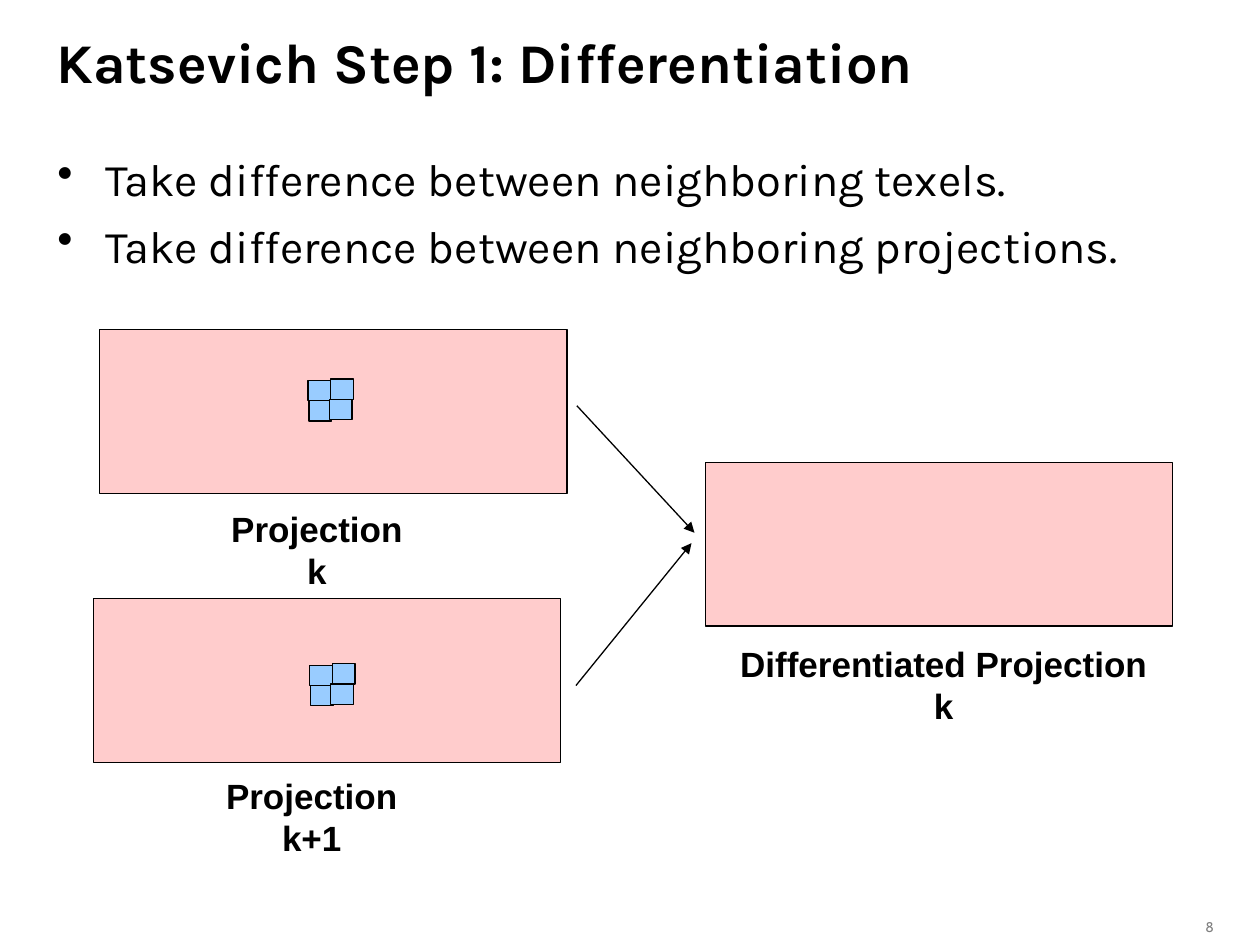
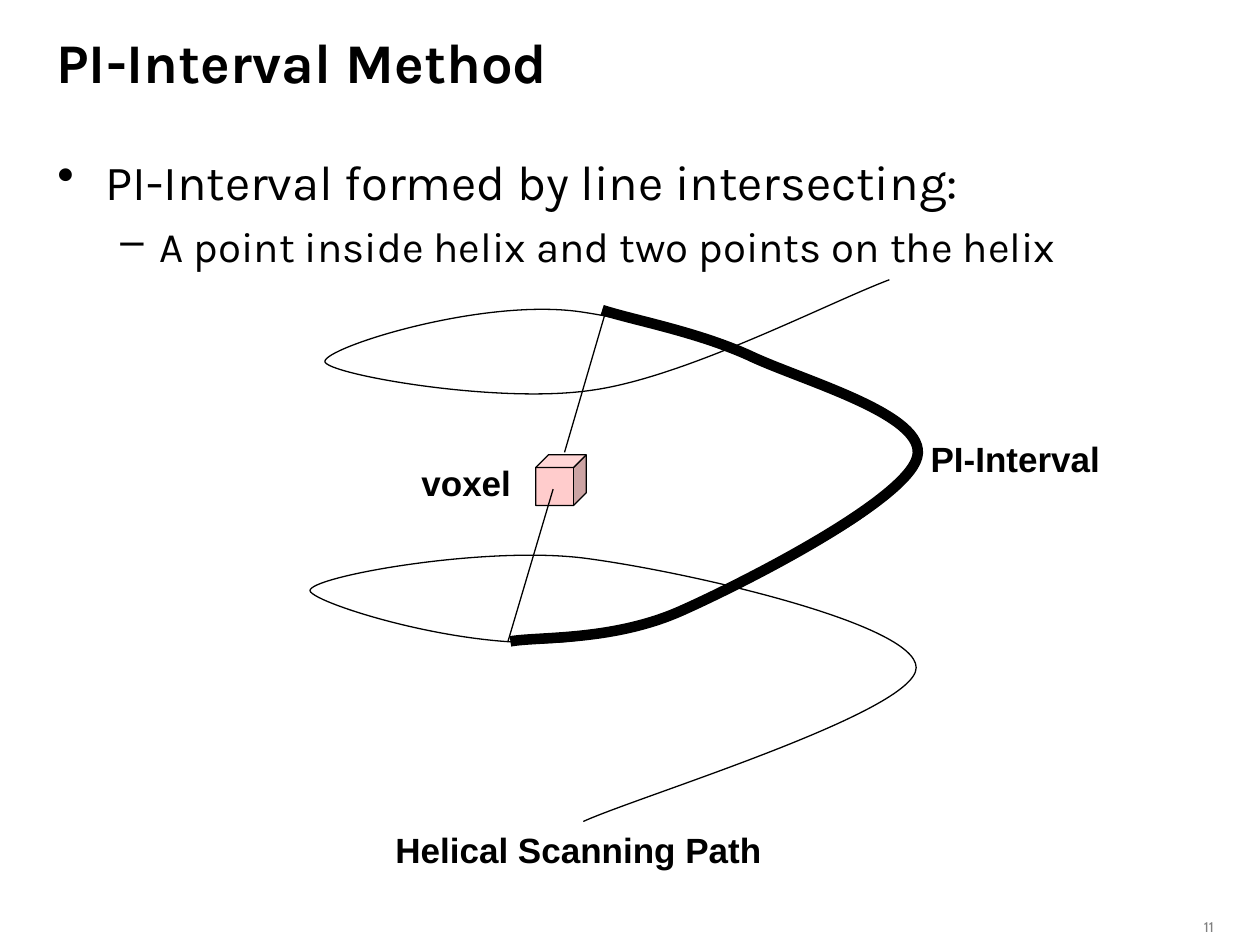
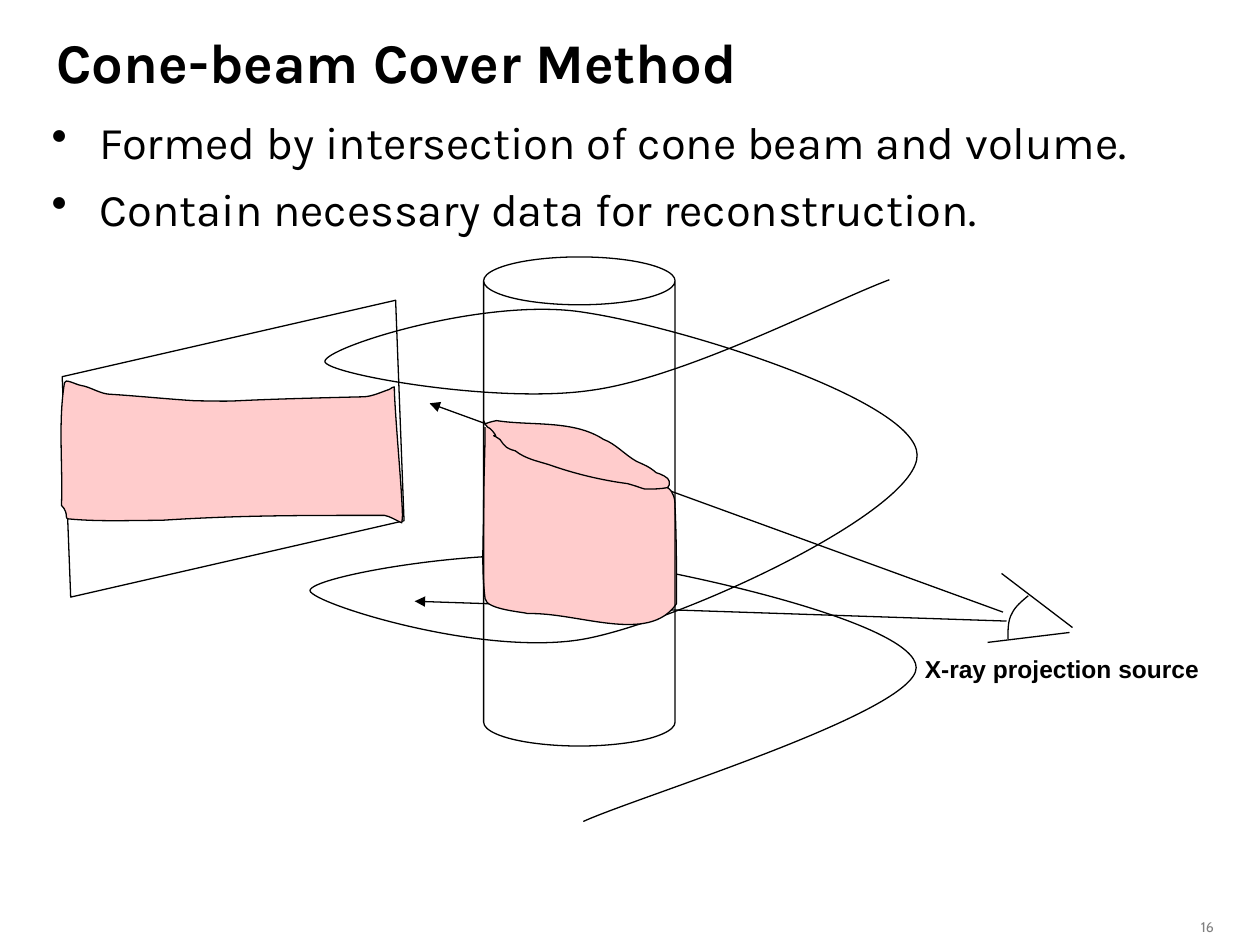
from lxml.etree import SubElement
from pptx import Presentation
from pptx.dml.color import RGBColor
from pptx.enum.shapes import MSO_CONNECTOR, MSO_SHAPE
from pptx.enum.text import MSO_ANCHOR, MSO_AUTO_SIZE, PP_ALIGN
from pptx.oxml.ns import qn
from pptx.util import Cm, Pt

BLACK, GRAY, PINK, BLUE = "000000", "808080", "FFCCCC", "99CCFF"

# Curves in cm: a start point, then rows of two control points and an end point
HELIX = [
    (11.76, 16.56),
    (12.88, 16.05), (18.47, 14.35), (18.47, 13.46),
    (18.47, 12.57), (13.79, 11.51), (11.76, 11.25),
    (9.73, 11), (6.22, 11.63), (6.25, 11.91),
    (6.3, 12.17), (9.91, 13.31), (11.94, 12.85),
    (14, 12.4), (18.52, 10.26), (18.49, 9.17),
    (18.47, 8.08), (13.79, 6.6), (11.79, 6.3),
    (9.8, 5.97), (6.53, 7.01), (6.55, 7.29),
    (6.58, 7.54), (10, 8.15), (11.91, 7.87),
    (13.79, 7.62), (16.66, 6.12), (17.93, 5.64),
]
PI_INTERVAL = [
    (10.29, 12.93),
    (10.85, 12.83), (12.34, 12.93), (13.72, 12.32),
    (15.09, 11.71), (18.26, 10.08), (18.49, 9.22),
    (18.72, 8.36), (16.15, 7.67), (15.09, 7.16),
    (14.02, 6.68), (12.75, 6.45), (12.14, 6.25),
]
SOURCE_ARC = [
    (20.73, 12.01),
    (20.6, 12.12), (20.47, 12.22), (20.4, 12.37),
    (20.32, 12.5), (20.32, 12.7), (20.32, 12.88),
]
COVER_SIDE = [
    (9.78, 8.61),
    (9.78, 9.14), (9.75, 9.68), (9.75, 10.21),
    (9.75, 10.82), (9.7, 11.46), (9.78, 12.07),
    (9.8, 12.29), (10.57, 12.34), (10.64, 12.37),
    (11.66, 12.34), (13.08, 13), (13.64, 12.17),
    (13.64, 11.53), (13.64, 10.87), (13.61, 10.24),
    (13.61, 10.06), (13.59, 9.93), (13.46, 9.83),
]
COVER_TOP = [
    (9.75, 8.48),
    (9.78, 8.53), (9.78, 8.59), (9.83, 8.61),
    (9.86, 8.64), (9.91, 8.64), (9.93, 8.69),
    (10.13, 8.94), (9.78, 8.66), (10.08, 8.86),
    (10.19, 9.02), (10.21, 9.04), (10.39, 9.09),
    (10.59, 9.25), (10.85, 9.3), (11.07, 9.37),
    (11.58, 9.55), (12.12, 9.68), (12.65, 9.75),
    (12.93, 9.83), (12.8, 9.8), (13, 9.86),
    (13.16, 9.86), (13.31, 9.86), (13.46, 9.83),
    (13.49, 9.8), (13.51, 9.75), (13.49, 9.7),
    (13.49, 9.63), (13.31, 9.55), (13.23, 9.53),
    (13.08, 9.4), (12.98, 9.37), (12.83, 9.3),
    (12.6, 9.17), (12.4, 8.94), (12.17, 8.86),
    (11.56, 8.46), (10.72, 8.59), (10.01, 8.48),
    (9.73, 8.53), (9.75, 8.61), (9.75, 8.48),
]
PROJECTED_COVER = [
    (8.1, 10.54),
    (7.98, 10.49), (7.87, 10.41), (7.75, 10.39),
    (5.97, 10.39), (4.8, 10.39), (3.25, 10.49),
    (2.62, 10.49), (1.98, 10.52), (1.37, 10.46),
    (1.32, 10.46), (1.35, 10.36), (1.32, 10.31),
    (1.32, 10.26), (1.27, 10.24), (1.24, 10.19),
    (1.27, 9.37), (1.17, 8.53), (1.3, 7.72),
    (1.3, 7.62), (1.52, 7.75), (1.63, 7.77),
    (1.83, 7.8), (2.03, 7.95), (2.24, 7.95),
    (2.74, 7.98), (3.43, 8.05), (3.94, 8.08),
    (5.23, 8.1), (3.94, 8.08), (7.32, 8),
    (7.49, 8), (7.7, 7.9), (7.85, 7.85),
    (7.87, 7.82), (7.95, 7.8), (7.95, 7.8),
    (7.95, 8.18), (8.08, 9.63), (8.1, 10.08),
    (8.13, 10.54), (8.1, 10.44), (8.1, 10.54),
]


def color(hex_code):
    return RGBColor.from_string(hex_code)


class Deck:
    """Holds the shared style and the slide being built."""

    # Bullet sign, indent (cm) and space before (pt) for each level
    LEVELS = [("•", 0.97, 0.97, 7), ("–", 2.06, 0.79, 6)]

    def __init__(self):
        self.prs = Presentation()
        self.prs.slide_width, self.prs.slide_height = Cm(25.4), Cm(19.05)

    def new_slide(self, title, number):
        self.slide = self.prs.slides.add_slide(self.prs.slide_layouts[6])
        heading = self.text_box(0.89, 0.18, 23.65, 2.11)
        heading.vertical_anchor = MSO_ANCHOR.MIDDLE
        heading.text = title
        self.style(heading.paragraphs[0], "Karla", 32, bold=True)
        page = self.text_box(23.04, 18.39, 1.68, 0.43)
        page.text = str(number)
        self.style(page.paragraphs[0], "Cabin", 8, GRAY, align=PP_ALIGN.RIGHT)

    def text_box(self, x, y, w, h):
        frame = self.slide.shapes.add_textbox(Cm(x), Cm(y), Cm(w), Cm(h)).text_frame
        frame.word_wrap = True
        return frame

    def style(self, paragraph, font, size, fill=BLACK, bold=False, align=PP_ALIGN.LEFT):
        paragraph.alignment = align
        for run in paragraph.runs:
            run.font.name, run.font.size, run.font.bold = font, Pt(size), bold
            run.font.color.rgb = color(fill)

    def bullets(self, x, y, w, h, items):
        """Each item is a text, its level and its size."""
        frame = self.text_box(x, y, w, h)
        frame.text = "\n".join(text for text, _, _ in items)
        for paragraph, (_, level, size) in zip(frame.paragraphs, items):
            sign, left, hang, before = self.LEVELS[level]
            self.style(paragraph, "Karla", size)
            paragraph.level = level
            paragraph.space_before = Pt(before)
            props = paragraph._p.get_or_add_pPr()
            props.set("marL", str(Cm(left)))
            props.set("indent", str(-Cm(hang)))
            sign_color = SubElement(props, qn("a:buClr"))
            SubElement(sign_color, qn("a:srgbClr"), val=BLACK)
            SubElement(props, qn("a:buChar"), char=sign)

    def label(self, x, y, w, text, size=20):
        frame = self.text_box(x, y, w, size * 0.042)
        frame.margin_left = frame.margin_right = 0
        frame.margin_top = frame.margin_bottom = 0
        frame.word_wrap = False
        frame.auto_size = MSO_AUTO_SIZE.SHAPE_TO_FIT_TEXT
        frame.text = text
        self.style(frame.paragraphs[0], "Arial", size, bold=True, align=PP_ALIGN.CENTER)
        frame.paragraphs[0].space_before = Pt(size * 0.625)

    def outline(self, line, weight=0.75):
        line.color.rgb = color(BLACK)
        line.width = Pt(weight)

    def paint(self, shape, fill, weight=0.75):
        shape.shadow.inherit = False
        if fill:
            shape.fill.solid()
            shape.fill.fore_color.rgb = color(fill)
        else:
            shape.fill.background()
        self.outline(shape.line, weight)

    def shape(self, kind, x, y, w, h, fill=None, adjust=None, rotation=0):
        shape = self.slide.shapes.add_shape(kind, Cm(x), Cm(y), Cm(w), Cm(h))
        self.paint(shape, fill)
        shape.rotation = rotation
        if adjust is not None:
            shape.adjustments[0] = adjust

    def line(self, start, end, arrow=False):
        ends = [Cm(value) for value in start + end]
        connector = self.slide.shapes.add_connector(MSO_CONNECTOR.STRAIGHT, *ends)
        self.outline(connector.line)
        if arrow:
            SubElement(connector.line._get_or_add_ln(), qn("a:tailEnd"), type="triangle")
        SubElement(connector._element.spPr, qn("a:effectLst"))

    def curve(self, points, fill=None, weight=0.75, close=False):
        start, *rest = [(Cm(x), Cm(y)) for x, y in points]
        builder = self.slide.shapes.build_freeform(*start)
        builder.add_line_segments(rest, close=close)
        shape = builder.convert_to_shape()
        self.paint(shape, fill, weight)
        # Turn every three straight segments into one Bezier segment
        steps = list(shape._element.iter(qn("a:lnTo")))
        outline = steps[0].getparent()
        for i in range(0, len(rest), 3):
            bezier = SubElement(outline, qn("a:cubicBezTo"))
            steps[i].addprevious(bezier)
            for step in steps[i:i + 3]:
                bezier.append(step[0])
                outline.remove(step)


def differentiation(deck):
    deck.new_slide("Katsevich Step 1: Differentiation", 8)
    deck.bullets(0.91, 2.92, 23.62, 3.38, [
        ("Take difference between neighboring texels.", 0, 25.9),
        ("Take difference between neighboring projections.", 0, 25.9),
    ])
    # Projections
    for x, y in [(14.22, 9.32), (2.01, 6.65), (1.88, 12.07)]:
        deck.shape(MSO_SHAPE.RECTANGLE, x, y, 9.42, 3.3, PINK)
    # Neighboring texels
    for x, y in [(6.21, 7.67), (6.24, 13.41)]:
        for dx, dy in [(0, 0), (0.46, -0.03), (0.02, 0.41), (0.43, 0.38)]:
            deck.shape(MSO_SHAPE.RECTANGLE, x + dx, y + dy, 0.46, 0.41, BLUE)
    deck.line((11.63, 8.18), (14, 10.74), arrow=True)
    deck.line((11.61, 13.82), (13.94, 10.95), arrow=True)
    deck.label(4.37, 10.24, 4.04, "Projection k")
    deck.label(3.86, 15.62, 4.85, "Projection k+1")
    deck.label(14.63, 12.95, 8.79, "Differentiated Projection k")


def pi_interval(deck):
    deck.new_slide("PI-Interval Method", 11)
    deck.bullets(0.91, 2.92, 23.62, 15.19, [
        ("PI-Interval formed by line intersecting:", 0, 28),
        ("A point inside helix and two points on the helix", 1, 24),
    ])
    # Helix, voxel and the line through it
    deck.curve(HELIX)
    deck.shape(MSO_SHAPE.CUBE, 10.8, 9.17, 1.02, 1.02, PINK, 0.25)
    deck.line((11.15, 9.86), (10.24, 12.93))
    deck.line((12.19, 6.35), (11.38, 9.12))
    deck.curve(PI_INTERVAL, weight=6)
    deck.label(8.03, 9.3, 2.74, "voxel")
    deck.label(18.69, 8.81, 3.56, "PI-Interval")
    deck.label(7.65, 16.71, 8.03, "Helical Scanning Path")


def cone_beam_cover(deck):
    deck.new_slide("Cone-beam Cover Method", 16)
    deck.bullets(0.79, 2.18, 23.9, 3.38, [
        ("Formed by intersection of cone beam and volume.", 0, 25.9),
        ("Contain necessary data for reconstruction.", 0, 25.9),
    ])
    # Detector and helix
    deck.shape(MSO_SHAPE.PARALLELOGRAM, 0.84, 6.86, 7.72, 4.37, None, 0.189, -12.9)
    deck.curve(HELIX)
    # X-ray source and its rays
    deck.line((20.22, 12.34), (8.66, 8.13), arrow=True)
    deck.line((20.19, 11.56), (21.62, 12.65))
    deck.line((19.91, 12.95), (21.56, 12.75))
    deck.curve(SOURCE_ARC)
    deck.label(18.64, 13.18, 5.54, "X-ray projection source", 14)
    deck.line((20.29, 12.52), (8.36, 12.12), arrow=True)
    # Cover in the volume and on the detector
    deck.curve(COVER_SIDE, PINK)
    deck.curve(COVER_TOP, PINK, close=True)
    deck.curve(PROJECTED_COVER, PINK, close=True)
    deck.shape(MSO_SHAPE.CAN, 9.75, 5.18, 3.86, 9.86, None, 0.25)


def main():
    deck = Deck()
    differentiation(deck)
    pi_interval(deck)
    cone_beam_cover(deck)
    deck.prs.save("out.pptx")


if __name__ == "__main__":
    main()
